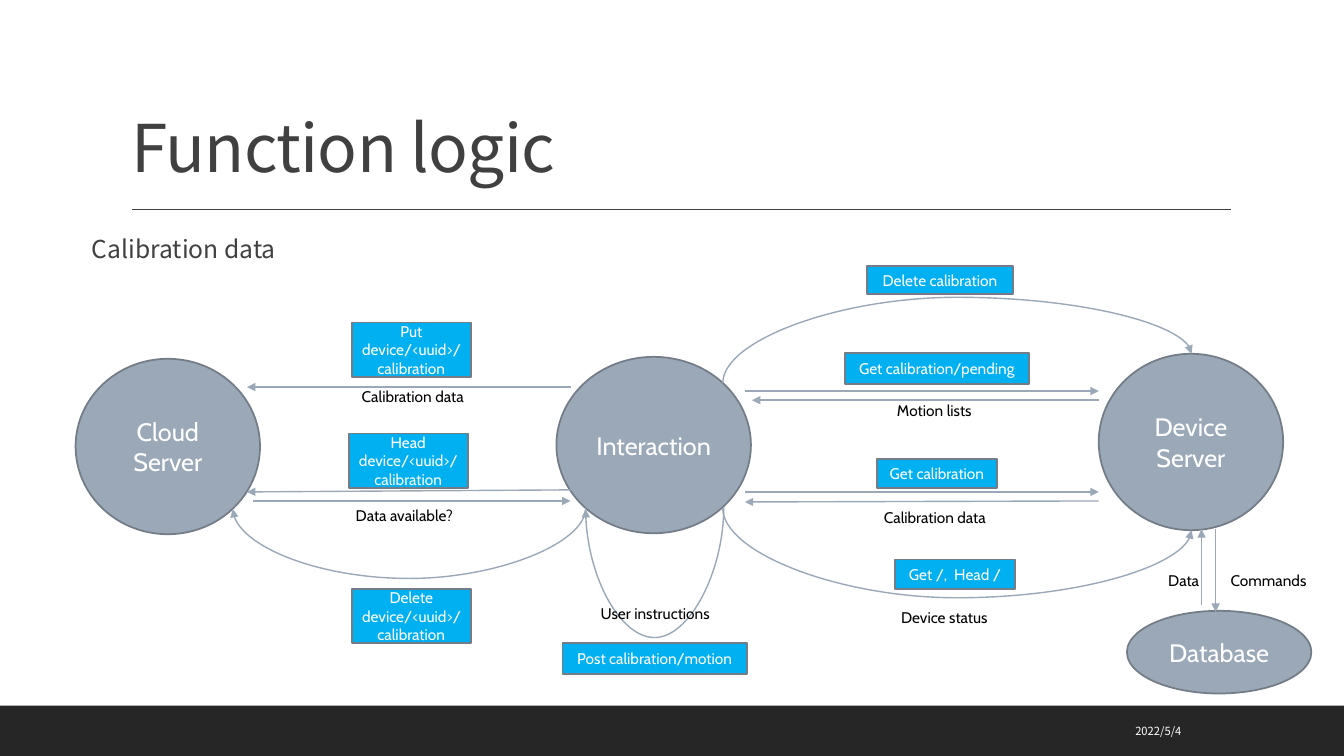
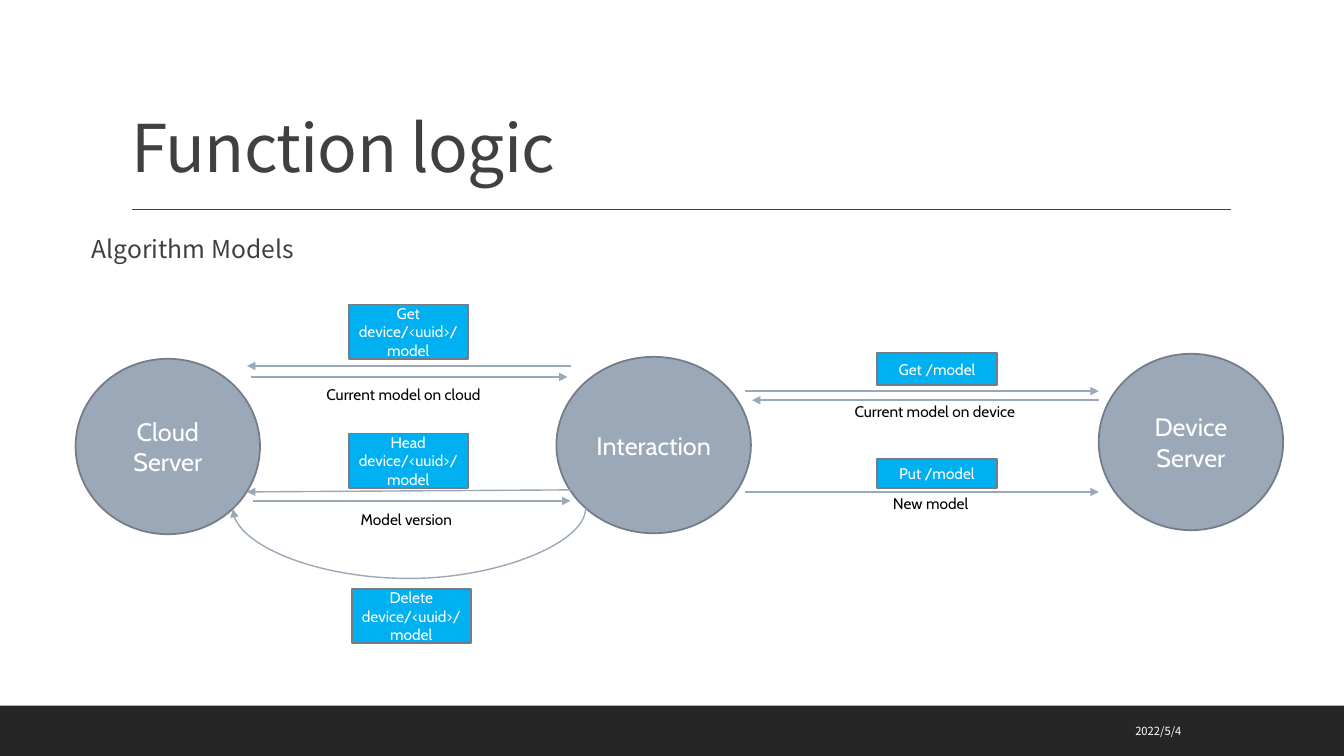
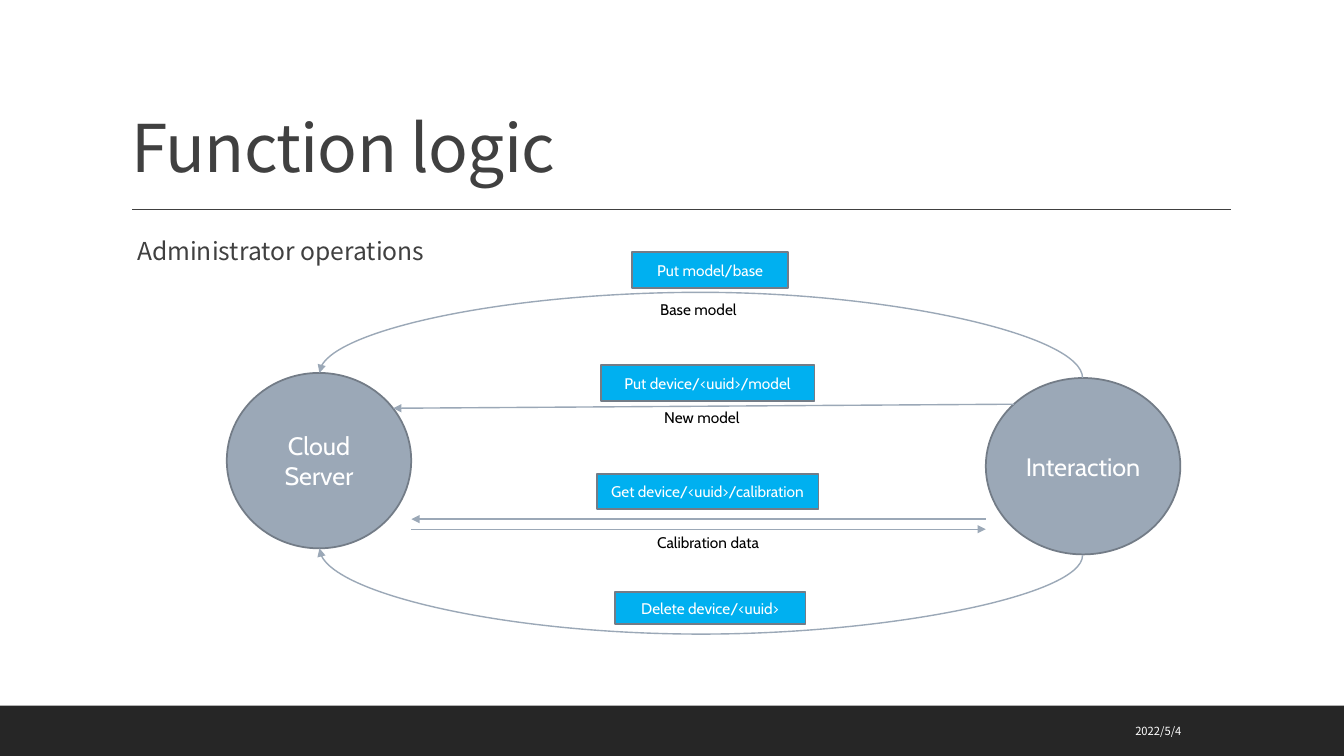
from dataclasses import dataclass

from lxml.etree import SubElement
from pptx import Presentation
from pptx.dml.color import RGBColor
from pptx.enum.shapes import MSO_CONNECTOR, MSO_SHAPE
from pptx.enum.text import MSO_ANCHOR, MSO_AUTO_SIZE, PP_ALIGN
from pptx.oxml.ns import qn
from pptx.util import Inches, Pt


@dataclass(frozen=True)
class Theme:
    heading_font: str = "Noto Sans CJK SC"
    diagram_font: str = "Cabin"
    band: str = "262626"
    heading: str = "404040"
    node: str = "9BA8B7"
    outline: str = "737C87"
    command: str = "00B0F0"
    white: str = "FFFFFF"
    black: str = "000000"
    title_size: float = 47
    subtitle_size: float = 17.6
    node_size: float = 18
    label_size: float = 11
    date_size: float = 8
    line_width: float = 1
    outline_width: float = 1.25


THEME = Theme()
CELL = Inches(0.1)
COLUMNS, ROWS = 133.33, 75
LABEL_HEIGHT = 2.9
UUID_SIZE = (11.8, 5.4)

CLOUD = ("Cloud Server", 7.5, 35.6, 18.3, 17.4)
INTERACTION = ("Interaction", 55.2, 35.4, 19.3, 17.5)
DEVICE = ("Device Server", 109, 35.1, 18.3, 17.5)
DATABASE = ("Database", 111.8, 60.6, 18.3, 8.2)


def grid(*cells):
    return [round(cell * CELL) for cell in cells]


def color(value):
    return RGBColor.from_string(value)


def style_text(holder, font_name, size, ink, align, anchor):
    frame = holder.text_frame
    frame.word_wrap = True
    frame.vertical_anchor = anchor
    for paragraph in frame.paragraphs:
        paragraph.alignment = align
        for run in paragraph.runs:
            run.font.name = font_name
            run.font.size = Pt(size)
            run.font.color.rgb = color(ink)


def place(holder, left, top, width, height):
    holder.left, holder.top, holder.width, holder.height = grid(left, top, width, height)


def add_block(slide, kind, box, fill, outline=None):
    block = slide.shapes.add_shape(kind, *grid(*box))
    block.shadow.inherit = False
    block.fill.solid()
    block.fill.fore_color.rgb = color(fill)
    if outline:
        block.line.color.rgb = color(outline)
        block.line.width = Pt(THEME.outline_width)
    else:
        block.line.fill.background()
    return block


def add_node(slide, name, *box):
    node = add_block(slide, MSO_SHAPE.OVAL, box, THEME.node, THEME.outline)
    node.text_frame.text = name
    style_text(node, THEME.diagram_font, THEME.node_size, THEME.white,
               PP_ALIGN.CENTER, MSO_ANCHOR.MIDDLE)


def add_command(slide, request, left, top, width, height):
    command = add_block(slide, MSO_SHAPE.RECTANGLE, (left, top, width, height),
                        THEME.command, THEME.outline)
    command.text_frame.text = request
    style_text(command, THEME.diagram_font, THEME.label_size, THEME.white,
               PP_ALIGN.CENTER, MSO_ANCHOR.MIDDLE)


def add_label(slide, wording, left, top, width):
    label = slide.shapes.add_textbox(*grid(left, top, width, LABEL_HEIGHT))
    label.text_frame.text = wording
    label.text_frame.auto_size = MSO_AUTO_SIZE.SHAPE_TO_FIT_TEXT
    style_text(label, THEME.diagram_font, THEME.label_size, THEME.black,
               PP_ALIGN.LEFT, MSO_ANCHOR.TOP)


def add_line(slide, kind, ends, ink, arrow=True):
    line = slide.shapes.add_connector(kind, *grid(*ends))
    line.line.color.rgb = color(ink)
    line.line.width = Pt(THEME.line_width)
    properties = line.element.spPr
    if arrow:
        SubElement(properties.find(qn("a:ln")), qn("a:tailEnd"), type="triangle")
    SubElement(properties, qn("a:effectLst"))
    return line


def add_arrow(slide, *ends):
    add_line(slide, MSO_CONNECTOR.STRAIGHT, ends, THEME.node)


def add_curve(slide, x1, y1, x2, y2, bulge):
    rise, run = abs(y2 - y1), abs(x2 - x1)
    left, top = (x1 + x2 - rise) / 2, (y1 + y2 - run) / 2
    curve = add_line(slide, MSO_CONNECTOR.CURVE,
                     (left, top, left + rise, top + run), THEME.node)
    frame = curve.element.spPr.find(qn("a:xfrm"))
    frame.set("rot", str(90 * 60000))
    if y2 < y1:
        frame.set("flipH", "1")
    if x2 > x1:
        frame.set("flipV", "1")
    adjustment = round((bulge - y1) / (y2 - y1) * 100000)
    guides = curve.element.spPr.find(qn("a:prstGeom")).find(qn("a:avLst"))
    SubElement(guides, qn("a:gd"), name="adj1", fmla=f"val {adjustment}")


def add_title(slide):
    title = slide.shapes.title
    place(title, 12, 3.1, 110, 15.9)
    title.text_frame.text = "Function logic"
    title.text_frame.auto_size = MSO_AUTO_SIZE.NONE
    title.text_frame.paragraphs[0].line_spacing = 0.9
    style_text(title, THEME.heading_font, THEME.title_size, THEME.heading,
               PP_ALIGN.LEFT, MSO_ANCHOR.BOTTOM)
    for properties in title.element.iter(qn("a:rPr")):
        properties.set("spc", "-50")


def add_subtitle(slide, topic, left, top):
    subtitle = slide.placeholders[1]
    place(subtitle, left, top, 110, 4)
    frame = subtitle.text_frame
    frame.text = topic
    frame.auto_size = MSO_AUTO_SIZE.NONE
    frame.margin_left = frame.margin_right = 0
    paragraph = frame.paragraphs[0]
    paragraph.line_spacing = 0.9
    paragraph.space_before = Pt(12)
    paragraph.space_after = Pt(2)
    style_text(subtitle, THEME.heading_font, THEME.subtitle_size, THEME.heading,
               PP_ALIGN.LEFT, MSO_ANCHOR.TOP)
    for properties in subtitle.element.iter(qn("a:pPr")):
        properties.set("marL", str(CELL))
        properties.set("indent", str(-CELL))
        bullet_color = SubElement(properties, qn("a:buClr"))
        SubElement(bullet_color, qn("a:srgbClr"), val=THEME.node)
        SubElement(properties, qn("a:buChar"), char=" ")


def add_date(slide):
    date = slide.shapes.add_textbox(*grid(89.9, 70.5, 28.3, 4))
    date.text_frame.text = "2022/5/4"
    style_text(date, THEME.heading_font, THEME.date_size, THEME.white,
               PP_ALIGN.RIGHT, MSO_ANCHOR.MIDDLE)


def dress_layout(slide):
    band = add_block(slide, MSO_SHAPE.RECTANGLE, (0, 70, COLUMNS, 5), THEME.band)
    rule = add_line(slide, MSO_CONNECTOR.STRAIGHT, (13.1, 20.8, 122.1, 20.8),
                    THEME.heading, arrow=False)
    for decoration in (band, rule):
        slide.slide_layout.shapes.element.append(decoration.element)


def start_slide(deck, topic, left, top):
    slide = deck.slides.add_slide(deck.slide_layouts[1])
    if len(deck.slides) == 1:
        dress_layout(slide)
    add_title(slide)
    add_subtitle(slide, topic, left, top)
    add_date(slide)
    return slide


def draw_all(slide, draw, items):
    for item in items:
        draw(slide, *item)


def add_device_network(slide, resource):
    draw_all(slide, add_node, [DEVICE, INTERACTION, CLOUD])
    draw_all(slide, add_arrow, [
        (73.9, 38.8, 109, 38.8),
        (109, 39.7, 74.6, 39.7),
        (73.9, 48.8, 109, 48.8),
        (56.6, 48.6, 24.5, 48.8),
        (25.1, 49.7, 56.6, 49.7),
    ])
    add_curve(slide, 58.1, 50.4, 23.1, 50.5, 57.5)
    draw_all(slide, add_command, [
        (f"Head device/<uuid>/{resource}", 34.6, 43, *UUID_SIZE),
        (f"Delete device/<uuid>/{resource}", 34.9, 58.4, *UUID_SIZE),
    ])


def build_calibration(deck):
    slide = start_slide(deck, "Calibration data", 8.1, 23)
    add_device_network(slide, "calibration")
    add_node(slide, *DATABASE)
    draw_all(slide, add_arrow, [
        (109, 49.7, 73.9, 49.8),
        (120.6, 52.5, 120.6, 60.7),
        (119.2, 60, 119.2, 52.5),
        (56.6, 38.4, 24.5, 38.4),
    ])
    draw_all(slide, add_curve, [
        (71.7, 38, 118.2, 35.1, 29.5),
        (71.8, 50.3, 58.1, 50.5, 63.2),
        (71.7, 50.4, 118.2, 52.6, 59.3),
    ])
    draw_all(slide, add_command, [
        ("Get calibration/pending", 83.8, 35, 18.3, 3.1),
        ("Get calibration", 87, 45.5, 11.9, 2.9),
        ("Delete calibration", 86, 26.4, 14.5, 2.8),
        ("Post calibration/motion", 55.8, 63.8, 18.3, 3.1),
        ("Get /,  Head /", 88.8, 55.5, 11.9, 2.9),
        ("Put device/<uuid>/calibration", 34.9, 32, *UUID_SIZE),
    ])
    draw_all(slide, add_label, [
        ("Motion lists", 88, 39.3, 9.9),
        ("Calibration data", 86.7, 49.9, 13.2),
        ("User instructions", 58.6, 59.4, 13.2),
        ("Commands", 121.1, 56.2, 9.6),
        ("Data", 114.9, 56.2, 5.8),
        ("Device status", 88.4, 59.8, 13.2),
        ("Calibration data", 34.9, 37.9, 13.2),
        ("Data available?", 34.3, 49.7, 13.2),
    ])


def build_models(deck):
    slide = start_slide(deck, "Algorithm Models", 8.1, 23)
    add_device_network(slide, "model")
    draw_all(slide, add_arrow, [
        (56.6, 36.3, 24.5, 36.3),
        (24.9, 37.4, 56.3, 37.4),
    ])
    draw_all(slide, add_command, [
        ("Get /model", 87, 35, 11.9, 3.2),
        ("Put /model", 87, 45.5, 11.9, 2.9),
        ("Get device/<uuid>/model", 34.6, 30.2, *UUID_SIZE),
    ])
    draw_all(slide, add_label, [
        ("Current model on device", 83.8, 39.4, 18.3),
        ("New model", 87.6, 48.5, 10.3),
        ("Current model on cloud", 31.4, 37.7, 18.3),
        ("Model version", 34.8, 50.1, 12),
    ])


def build_administration(deck):
    slide = start_slide(deck, "Administrator operations", 12.6, 23.2)
    draw_all(slide, add_node, [
        ("Interaction", 97.8, 37.5, 19.3, 17.5),
        ("Cloud Server", 22.5, 37, 18.3, 17.4),
    ])
    draw_all(slide, add_arrow, [
        (100.6, 40.1, 39, 40.5),
        (97.8, 51.5, 40.8, 51.5),
        (40.8, 52.5, 97.8, 52.5),
    ])
    draw_all(slide, add_curve, [
        (107.4, 55.1, 31.7, 54.4, 62.9),
        (107.4, 37.5, 31.7, 37, 29),
    ])
    draw_all(slide, add_command, [
        ("Put device/<uuid>/model", 59.6, 36.2, 21.2, 3.6),
        ("Get device/<uuid>/calibration", 59.2, 47, 22, 3.5),
        ("Delete device/<uuid>", 61, 58.7, 18.9, 3.2),
        ("Put model/base", 62.7, 25, 15.5, 3.6),
    ])
    draw_all(slide, add_label, [
        ("New model", 64.9, 40, 11.8),
        ("Calibration data", 64.2, 52.4, 12.6),
        ("Base model", 64.5, 29.3, 11.8),
    ])


def main():
    deck = Presentation()
    deck.slide_width, deck.slide_height = grid(COLUMNS, ROWS)
    build_calibration(deck)
    build_models(deck)
    build_administration(deck)
    deck.save("out.pptx")


if __name__ == "__main__":
    main()
